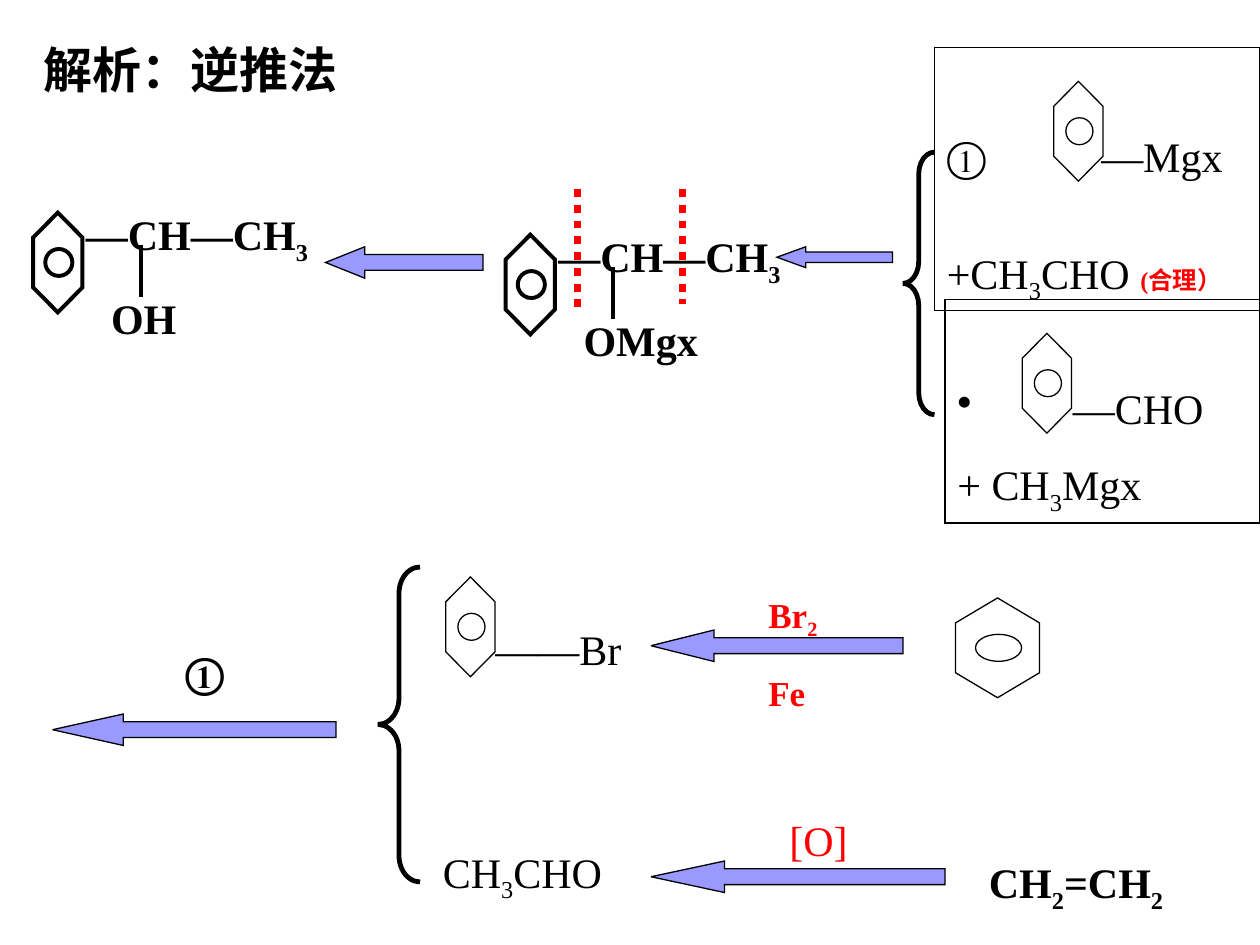
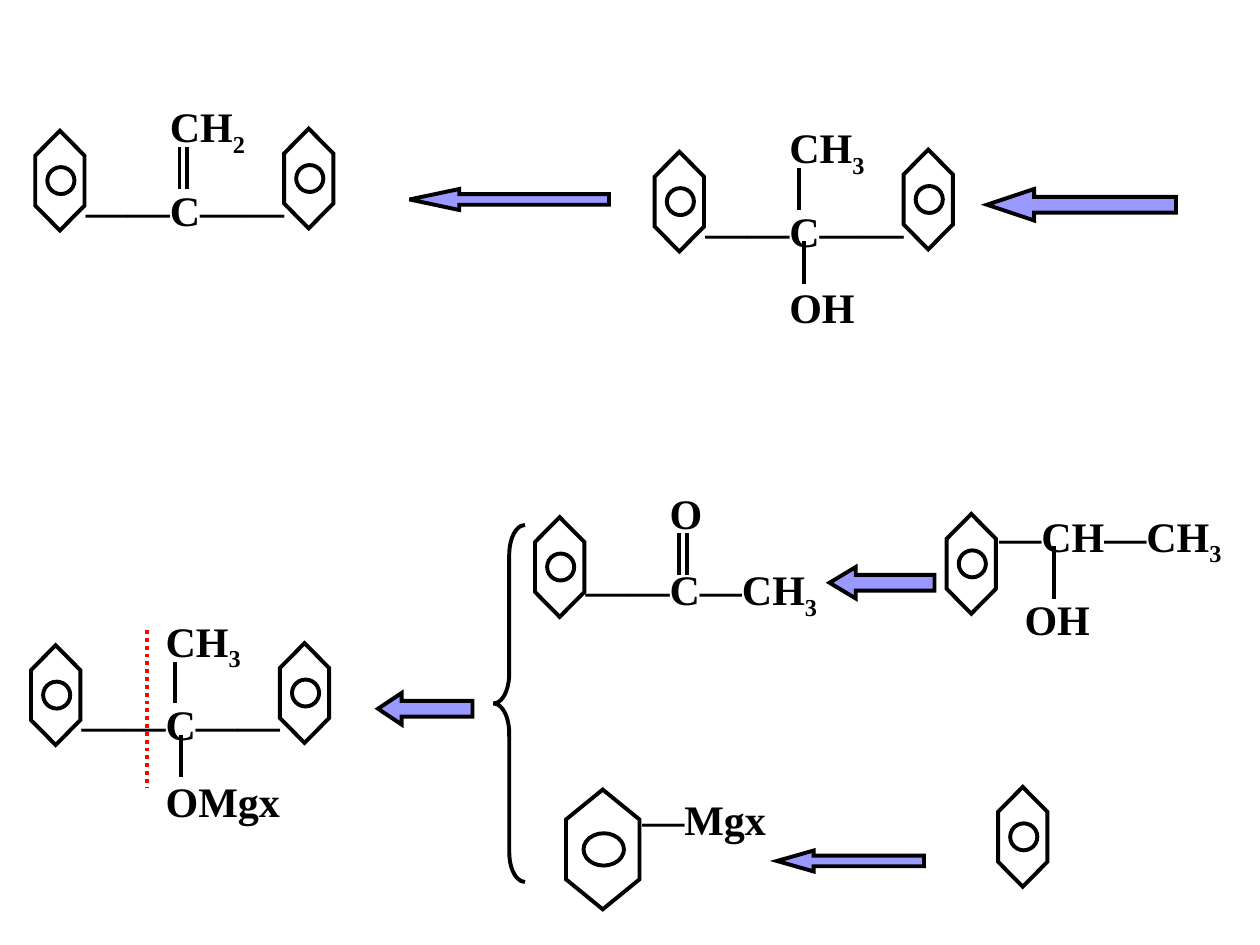
from dataclasses import dataclass

from lxml import etree
from pptx import Presentation
from pptx.dml.color import RGBColor
from pptx.enum.dml import MSO_LINE
from pptx.enum.shapes import MSO_CONNECTOR, MSO_SHAPE
from pptx.enum.text import MSO_ANCHOR, PP_ALIGN
from pptx.oxml.ns import qn
from pptx.util import Inches, Pt

HEX, OVAL, RECT = MSO_SHAPE.HEXAGON, MSO_SHAPE.OVAL, MSO_SHAPE.RECTANGLE
ARROW, BRACE = MSO_SHAPE.LEFT_ARROW, MSO_SHAPE.LEFT_BRACE
STRAIGHT, DOTS = MSO_CONNECTOR.STRAIGHT, MSO_LINE.ROUND_DOT
LEFT, CENTER, TOP = PP_ALIGN.LEFT, PP_ALIGN.CENTER, MSO_ANCHOR.TOP

# The grid: 120 columns by 90 rows of square cells
COLS, ROWS = 120, 90
WIDE = Inches(10)
HIGH = WIDE * ROWS // COLS
BLACK, RED, BLUE = "000000", "FF0000", "9999FF"
FONT = "Times New Roman"
THIN, BOLD = 0.75, 2.25
STEM = 8  # indent of the middle atom of a formula


@dataclass
class Line:
    """One line of text; "_" lowers the character that follows it."""
    text: str
    left: float = 0
    hang: float = 0
    gap: float = 15
    dot: bool = False


def cells(n):
    return round(n * WIDE / COLS)


def paint(color):
    return RGBColor.from_string(color)


# Basic parts

def shape(slide, kind, box, weight, fill=None):
    item = slide.shapes.add_shape(kind, *map(cells, box))
    item.shadow.inherit = False
    if fill:
        item.fill.solid()
        item.fill.fore_color.rgb = paint(fill)
    else:
        item.fill.background()
    item.line.color.rgb = paint(BLACK)
    item.line.width = Pt(weight)
    ln = item._element.spPr.find(qn("a:ln"))
    etree.SubElement(ln, qn("a:miter"), lim="800000")
    return item


def stroke(slide, x, top, end, weight=BOLD, color=BLACK, dash=None):
    item = slide.shapes.add_connector(STRAIGHT, *map(cells, (x, top, x, end)))
    item.line.color.rgb = paint(color)
    item.line.width = Pt(weight)
    if dash:
        item.line.dash_style = dash
    etree.SubElement(item._element.spPr, qn("a:effectLst"))


def style(run, size, color, bold):
    run.font.name = FONT
    run.font.size = Pt(size)
    run.font.bold = bold
    run.font.color.rgb = paint(color)


def indent(par, line):
    props = par._p.get_or_add_pPr()
    props.set("marL", str(cells(line.left)))
    props.set("indent", str(-cells(line.hang)))
    if line.dot:
        etree.SubElement(props, qn("a:buChar"), char="•")
    else:
        etree.SubElement(props, qn("a:buNone"))


def write(frame, lines, size=24, color=BLACK, bold=False, align=LEFT, lead=None):
    frame.word_wrap = True
    for i, line in enumerate(lines):
        par = frame.add_paragraph() if i else frame.paragraphs[0]
        indent(par, line)
        par.alignment = align
        par.space_before = Pt(line.gap if i else 0)
        if lead:
            par.line_spacing = lead
        head, *rest = line.text.split("_")
        parts = [(head, False)]
        for bit in rest:
            parts += [(bit[0], True), (bit[1:], False)]
        for text, low in parts:
            if text:
                run = par.add_run()
                run.text = text
                style(run, size, color, bold)
                if low:
                    run._r.get_or_add_rPr().set("baseline", "-25000")


def label(slide, box, lines, **look):
    item = slide.shapes.add_textbox(*map(cells, box))
    write(item.text_frame, lines, **look)


# Chemical signs

def ring(slide, x, y, weight=BOLD, w=4.7, h=9.5):
    """Benzene ring centred on x, y."""
    item = shape(slide, HEX, (x - h / 2, y - w / 2, h, w), weight)
    item.adjustments[0] = h / w / 4
    item.rotation = 90
    ow, oh = w * 0.55, h * 0.27
    shape(slide, OVAL, (x - ow / 2 + 0.1, y - oh / 2, ow, oh), weight)


def arrow(slide, x, y, w, h, weight=THIN):
    item = shape(slide, ARROW, (x, y, w, h), weight, BLUE)
    item.adjustments[1] = w / h / 4


def brace(slide, x, y, w, h, weight=2.75):
    item = shape(slide, BRACE, (x, y, w, h), weight)
    item.adjustments[0] = h / w / 12


def chain(slide, x, y, foot):
    """Ring with a CH—CH3 chain and a group below it."""
    label(slide, (x, y, 32, 14.6),
          [Line("—CH—CH_3", STEM), Line(foot, 10.4)], bold=True)
    ring(slide, x + 6.5, y + 5.7)
    stroke(slide, x + 14.4, y + 4, y + 9)


def cross(slide, x, y, top, mid="——C——", foot=None, pair=False, twin=True):
    """Carbon between rings, with groups above and below it."""
    lines = [Line(top, STEM), Line(mid)]
    if foot:
        lines.append(Line(foot, STEM))
        stroke(slide, x + 10.6, y + 12, y + 16)
    label(slide, (x, y, 25, 7 * len(lines)), lines, bold=True)
    for step in (0, 0.7) if pair else (0,):
        stroke(slide, x + 10.1 + step, y + 5, y + 9)
    ring(slide, x - 1.3, y + 8.2)
    if twin:
        ring(slide, x + 22.4, y + 8)


def option(slide, box, shift, lines):
    """Framed pair of starting materials."""
    x, y = box[:2]
    ring(slide, x + shift, y + 8, THIN)
    frame = shape(slide, RECT, box, THIN).text_frame
    frame.margin_top = cells(7.9)
    frame.vertical_anchor = TOP
    write(frame, lines)
    return frame


# Slides

def reverse(slide):
    label(slide, (3, 3.2, 46, 6.8), [Line("解析：逆推法")], size=28, bold=True)

    # Product and its precursor
    chain(slide, -1, 19.3, "OH")
    arrow(slide, 31, 23.5, 15, 3)
    chain(slide, 44, 21.4, "OMgx")
    for x, end in ((55, 30), (65, 29)):
        stroke(slide, x, 18, end, 4.5, RED, DOTS)
    arrow(slide, 74, 23.5, 11, 2)

    # Two ways to make it
    brace(slide, 86, 14.5, 3, 25)
    frame = option(slide, (89, 4.5, 31, 25.1), 13.7,
                   [Line("①"), Line("+CH_3CHO ", gap=38)])
    run = frame.paragraphs[1].add_run()
    run.text = "(合理）"
    style(run, 14, RED, True)
    label(slide, (103.7, 11.8, 16, 6), [Line("—Mgx")])
    option(slide, (90, 28.5, 30, 21.3), 9.7,
           [Line("—CHO", 11, 11, dot=True), Line("+ CH_3Mgx")])

    # Materials for the first way
    arrow(slide, 5, 68, 27, 3)
    label(slide, (15, 61, 9, 6), [Line("①")], bold=True, align=CENTER)
    brace(slide, 36, 54, 4, 30)
    ring(slide, 44.8, 59.7, THIN)
    label(slide, (37, 58.8, 30, 6), [Line("——Br", 9)])
    label(slide, (41, 80, 21, 6.7), [Line("CH_3CHO")])
    arrow(slide, 62, 60, 24, 3)
    label(slide, (72, 55, 11, 13.5), [Line("Br_2"), Line("Fe", gap=12.5)],
          size=20, color=RED, bold=True, lead=1.2)
    ring(slide, 95, 61.7, THIN, w=8)
    arrow(slide, 62, 82, 28, 3)
    label(slide, (74, 77, 10, 6), [Line("[O]")], color=RED)
    label(slide, (93, 81, 24, 6.7), [Line("CH_2=CH_2")], bold=True)


def route(slide):
    # Alkene from the alcohol
    cross(slide, 7, 9, "CH_2", pair=True)
    cross(slide, 66, 11, "CH_3", foot="OH")
    # Salt of the alcohol, cut at one bond
    cross(slide, 6.6, 58, "CH_3", foot="OMgx")
    stroke(slide, 14, 60, 75, BOLD, RED, DOTS)

    # Ketone and its source
    brace(slide, 47, 50, 3, 34, BOLD)
    cross(slide, 54.6, 45.8, "O", "——C—CH_3", pair=True, twin=False)
    chain(slide, 86, 48, "OH")

    # Ring salt and its source
    ring(slide, 57.4, 80.9, w=7, h=11.4)
    label(slide, (60, 75, 23, 6), [Line("—Mgx")], bold=True)
    ring(slide, 97.4, 79.7)

    for box in ((39, 18, 19, 2), (94, 18, 18, 3), (36, 66, 9, 3),
                (79, 54, 10, 3), (74, 81, 14, 2)):
        arrow(slide, *box, BOLD)


def main():
    deck = Presentation()
    deck.slide_width, deck.slide_height = WIDE, HIGH
    for build in (reverse, route):
        build(deck.slides.add_slide(deck.slide_layouts[6]))
    deck.save("out.pptx")


if __name__ == "__main__":
    main()
